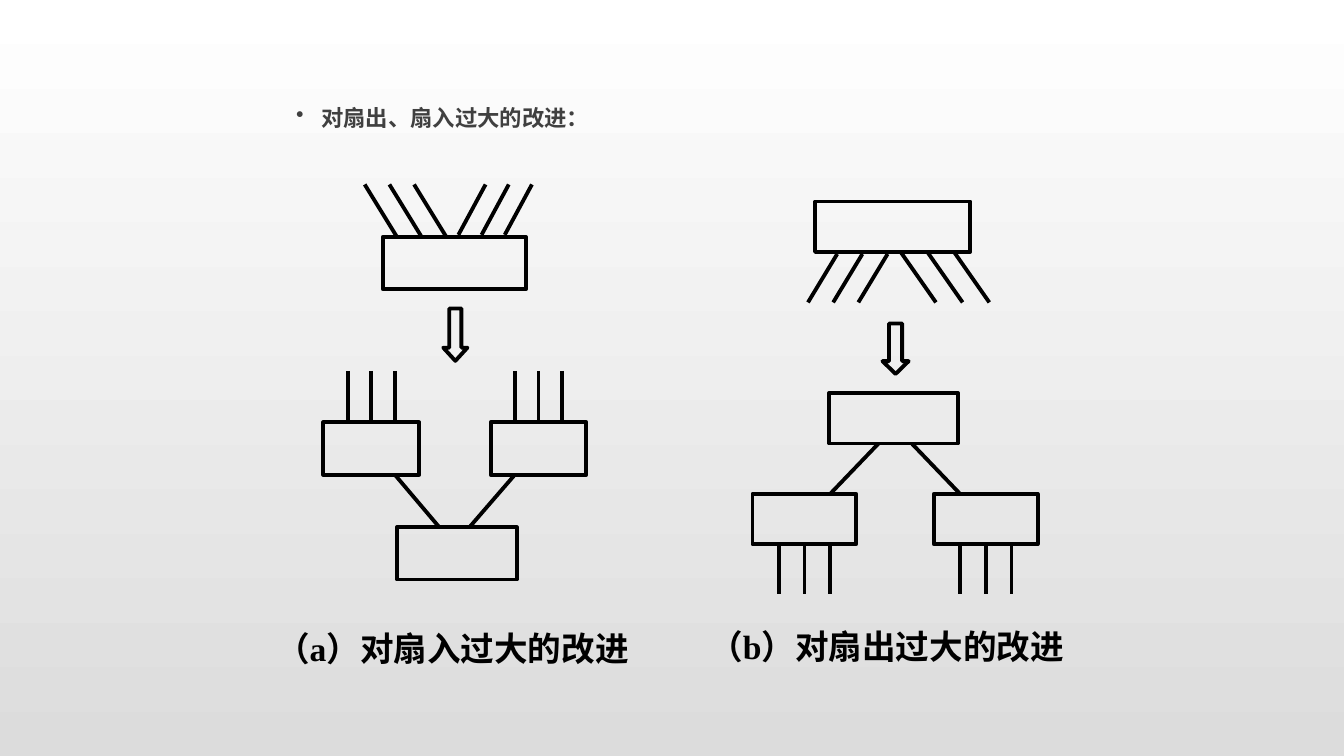
import dataclasses

import lxml.etree
import pptx
import pptx.dml.color
import pptx.enum.shapes
import pptx.enum.text
import pptx.oxml.ns
import pptx.util

Inches = pptx.util.Inches
Pt = pptx.util.Pt
RGBColor = pptx.dml.color.RGBColor
ShapeType = pptx.enum.shapes.MSO_SHAPE
qn = pptx.oxml.ns.qn
TOP, BOTTOM = 0, 2


@dataclasses.dataclass(frozen=True)
class Theme:
    background_top: RGBColor = RGBColor.from_string("FFFFFF")
    background_bottom: RGBColor = RGBColor.from_string("DCDCDC")
    ink: RGBColor = RGBColor.from_string("000000")
    heading: RGBColor = RGBColor.from_string("404040")
    heading_size: Pt = Pt(16)
    caption_size: Pt = Pt(24)
    line_width: Pt = Pt(2.75)
    chinese_font: str = "Noto Sans CJK SC"
    latin_font: str = "Times New Roman"


theme = Theme()


def add_outline(figure, shape_type, left, top, width, height):
    """Add an unfilled shape with a black outline."""
    shape = figure.shapes.add_shape(
        shape_type, Inches(left), Inches(top), Inches(width), Inches(height))
    shape.shadow.inherit = False
    shape.fill.background()
    shape.line.color.rgb = theme.ink
    shape.line.width = theme.line_width
    return shape


def add_line(figure, start_x, start_y, end_x, end_y):
    connector = figure.shapes.add_connector(
        pptx.enum.shapes.MSO_CONNECTOR.STRAIGHT,
        Inches(start_x), Inches(start_y), Inches(end_x), Inches(end_y))
    connector.line.color.rgb = theme.ink
    connector.line.width = theme.line_width
    lxml.etree.SubElement(connector._element.spPr, qn("a:effectLst"))
    return connector


presentation = pptx.Presentation()
presentation.slide_width = Inches(13.34)
presentation.slide_height = Inches(7.5)
slide = presentation.slides.add_slide(presentation.slide_layouts[6])

background = slide.background.fill
background.gradient()
background.gradient_angle = 270
background.gradient_stops[0].color.rgb = theme.background_top
background.gradient_stops[1].color.rgb = theme.background_bottom

# Heading
heading = slide.shapes.add_textbox(Inches(2.83), Inches(0.95), Inches(6.42), Inches(0.75))
frame = heading.text_frame
frame.word_wrap = True
frame.margin_left, frame.margin_right = Inches(0.11), Inches(0.09)
frame.margin_top = frame.margin_bottom = 0
paragraph = frame.paragraphs[0]
paragraph.line_spacing = 1.3
paragraph.space_after = Pt(10)
properties = paragraph._p.get_or_add_pPr()
properties.set("marL", str(Inches(0.25)))
properties.set("indent", str(-Inches(0.25)))
bullet_color = lxml.etree.SubElement(properties, qn("a:buClr"))
lxml.etree.SubElement(bullet_color, qn("a:srgbClr"), val=str(theme.heading))
lxml.etree.SubElement(properties, qn("a:buChar"), char="•")
heading_run = paragraph.add_run()
heading_run.text = "对扇出、扇入过大的改进："

# Each figure: rectangles and arrow as (left, top, width, height);
# fans as (first x, step, y, end x offset, end y), three lines each;
# leads run between outer_y and the lead side of the two middle modules;
# branches join the middle modules to the single module.
figures = [
    dict(
        crowded=(3.8, 2.35, 1.42, 0.52),
        fans=[(3.62, 0.245, 1.83, 0.32, 2.35), (4.82, 0.23, 1.83, -0.27, 2.33)],
        arrow=(4.4, 3.06, 0.24, 0.52), arrow_head=0.544,
        middle=[(3.21, 4.19, 0.95, 0.52), (4.87, 4.19, 0.95, 0.52)],
        lead_side=TOP, outer_y=3.68, lead_gap=0.235,
        single=(3.94, 5.23, 1.19, 0.52),
        branches=[(3.92, 4.71, 4.36, 5.23), (5.11, 4.71, 4.66, 5.23)],
        caption="（a）对扇入过大的改进", caption_box=(2.53, 6.23, 3.92, 0.52)),
    dict(
        crowded=(8.09, 2, 1.54, 0.5),
        fans=[(8.94, 0.265, 2.5, 0.35, 3), (8.31, 0.25, 2.52, -0.29, 3)],
        arrow=(8.76, 3.21, 0.26, 0.5), arrow_head=0.487,
        middle=[(7.47, 4.9, 1.03, 0.5), (9.27, 4.9, 1.03, 0.5)],
        lead_side=BOTTOM, outer_y=5.89, lead_gap=0.255,
        single=(8.23, 3.9, 1.28, 0.5),
        branches=[(8.24, 4.9, 8.72, 4.4), (9.53, 4.9, 9.05, 4.4)],
        caption="（b）对扇出过大的改进", caption_box=(6.8, 6.21, 4, 0.5)),
]

caption_runs = []
for layout in figures:
    figure = slide.shapes.add_group_shape()
    add_outline(figure, ShapeType.RECTANGLE, *layout["crowded"])
    for first_x, step, start_y, offset, end_y in layout["fans"]:
        for index in range(3):
            x = first_x + index * step
            add_line(figure, x, start_y, x + offset, end_y)

    arrow = add_outline(figure, ShapeType.DOWN_ARROW, *layout["arrow"])
    arrow.adjustments[0] = 0.5
    arrow.adjustments[1] = layout["arrow_head"]

    for left, top, width, height in layout["middle"]:
        module = add_outline(figure, ShapeType.RECTANGLE, left, top, width, height)
        side_y = top if layout["lead_side"] == TOP else top + height
        for position in (-1, 0, 1):
            x = left + width / 2 + position * layout["lead_gap"]
            lead = add_line(figure, x, layout["outer_y"], x, side_y)
            if position == 0:
                lead.end_connect(module, layout["lead_side"])

    add_outline(figure, ShapeType.RECTANGLE, *layout["single"])
    for branch in layout["branches"]:
        add_line(figure, *branch)

    caption = figure.shapes.add_textbox(*map(Inches, layout["caption_box"]))
    frame = caption.text_frame
    frame.word_wrap = True
    frame.margin_left = frame.margin_right = frame.margin_top = frame.margin_bottom = 0
    paragraph = frame.paragraphs[0]
    paragraph.alignment = pptx.enum.text.PP_ALIGN.CENTER
    run = paragraph.add_run()
    run.text = layout["caption"]
    caption_runs.append(run)

# Text styles
styles = [(heading_run, theme.chinese_font, theme.heading_size, theme.heading)]
styles += [(run, theme.latin_font, theme.caption_size, theme.ink) for run in caption_runs]
for run, font_name, size, color in styles:
    run.font.name = font_name
    run.font.size = size
    run.font.bold = True
    run.font.color.rgb = color
    lxml.etree.SubElement(run.font._element, qn("a:ea"), typeface=theme.chinese_font)

presentation.save("out.pptx")
